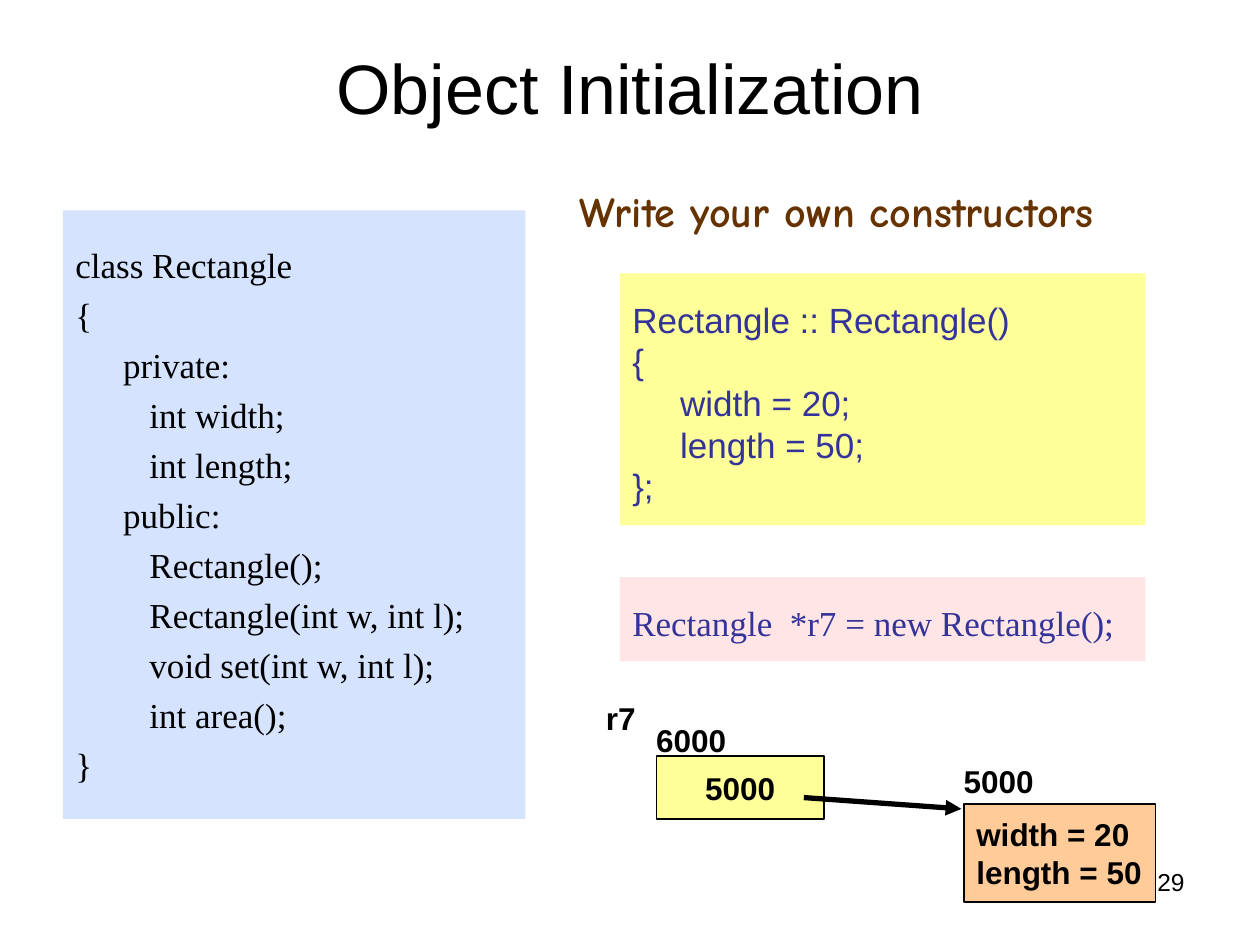
from lxml.etree import SubElement
from pptx import Presentation
from pptx.dml.color import RGBColor
from pptx.enum.shapes import MSO_CONNECTOR as Connector, MSO_SHAPE as Shape
from pptx.enum.text import MSO_ANCHOR as Anchor, PP_ALIGN as Align
from pptx.oxml.ns import qn
from pptx.util import Inches, Pt

# Content
TITLE = "Object Initialization"
HEADING = "Write your own constructors"
PAGE_NUMBER = "29"

CLASS_CODE = """class Rectangle
{
\tprivate:
\t   int width;
\t   int length;
\tpublic:
\t   Rectangle();
\t   Rectangle(int w, int l);
\t   void set(int w, int l);
\t   int area();
}"""

CONSTRUCTOR_CODE = """Rectangle :: Rectangle()
{
\twidth = 20;
\tlength = 50;
};"""

# code, box, fill, font, text colour, line spacing
CODE_PANELS = [
    (CLASS_CODE, (0.5, 1.67, 3.67, 4.83), "D5E3FF", "Times New Roman", "000000", 1.0),
    (CONSTRUCTOR_CODE, (4.92, 2.17, 4.17, 2), "FFFF99", "Arial", "333399", 0.8),
    ("Rectangle  *r7 = new Rectangle();", (4.92, 4.58, 4.17, 0.67),
     "FFE5E5", "Times New Roman", "333399", 0.8),
]

# text, box, fill, alignment
MEMORY_CELLS = [
    ("width = 20\nlength = 50", (7.65, 6.38, 1.52, 0.78), "FFCC99", Align.LEFT),
    ("5000", (5.21, 6, 1.33, 0.5), "FFFF99", Align.CENTER),
]
MEMORY_LABELS = [
    ("5000", (7.55, 6, 0.76, 0.4)),
    ("r7", (4.71, 5.5, 0.44, 0.4)),
    ("6000", (5.11, 5.67, 0.76, 0.4)),
]
POINTER = (6.38, 6.33, 7.63, 6.42)


def inches(box):
    return [Inches(length) for length in box]


def color(target, value):
    target.rgb = RGBColor.from_string(value)


def write(shape, text, size, font="Arial", ink="000000", bold=False, align=Align.LEFT):
    frame = shape.text_frame
    frame.text = text
    for paragraph in frame.paragraphs:
        paragraph.alignment = align
        for run in paragraph.runs:
            run.font.size = Pt(size)
            run.font.name = font
            run.font.bold = bold
            color(run.font.color, ink)
    return frame


def add_label(text, box, size, **style):
    label = slide.shapes.add_textbox(*inches(box))
    write(label, text, size, **style).word_wrap = False


def add_box(box, fill):
    rectangle = slide.shapes.add_shape(Shape.RECTANGLE, *inches(box))
    rectangle.shadow.inherit = False
    rectangle.fill.solid()
    color(rectangle.fill.fore_color, fill)
    rectangle.line.fill.background()
    return rectangle


def add_code(code, box, fill, font, ink, spacing):
    frame = write(add_box(box, fill), code, 20, font, ink)
    frame.word_wrap = True
    frame.vertical_anchor = Anchor.TOP
    frame.margin_top = Inches(0.26)
    for number, line in enumerate(frame.paragraphs):
        line.line_spacing = spacing
        line.space_before = Pt(4.6 if number else 0)
        properties = line._p.get_or_add_pPr()
        properties.set("marL", str(Inches(0.38)))
        properties.set("indent", str(-Inches(0.38)))


def add_cell(text, box, fill, align):
    cell = add_box(box, fill)
    color(cell.line.color, "000000")
    cell.line.width = Pt(0.75)
    frame = write(cell, text, 18, bold=True, align=align)
    frame.word_wrap = False
    frame.vertical_anchor = Anchor.MIDDLE


def add_arrow(ends):
    arrow = slide.shapes.add_connector(Connector.STRAIGHT, *inches(ends))
    color(arrow.line.color, "000000")
    arrow.line.width = Pt(3)
    SubElement(arrow.line._get_or_add_ln(), qn("a:tailEnd"), type="triangle")
    SubElement(arrow._element.spPr, qn("a:effectLst"))


presentation = Presentation()
presentation.slide_width, presentation.slide_height = Inches(10), Inches(7.5)
slide = presentation.slides.add_slide(presentation.slide_layouts[5])

# Title, heading and page number
title = slide.shapes.title
title.left, title.top, title.width, title.height = inches((0.5, 0.3, 9, 0.78))
write(title, TITLE, 40, align=Align.CENTER).vertical_anchor = Anchor.MIDDLE
add_label(HEADING, (4.5, 1.42, 4.85, 0.5), 24, font="Comic Neue", ink="663300", bold=True)
page_number = slide.shapes.add_textbox(*inches((7.17, 6.83, 2.33, 0.52)))
write(page_number, PAGE_NUMBER, 14, align=Align.RIGHT).word_wrap = True

# Code panels
for panel in CODE_PANELS:
    add_code(*panel)

# Memory diagram
for cell_content in MEMORY_CELLS:
    add_cell(*cell_content)
for address, place in MEMORY_LABELS:
    add_label(address, place, 18, bold=True)
add_arrow(POINTER)

presentation.save("out.pptx")
